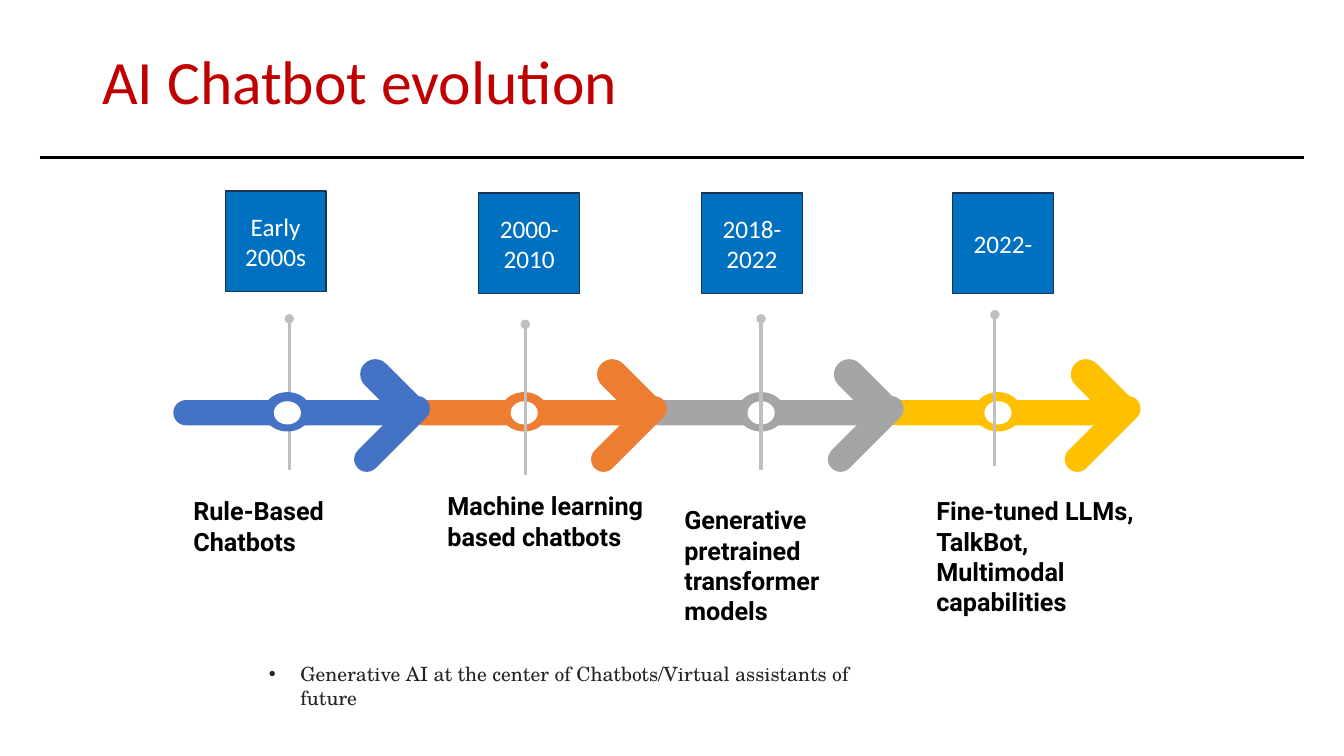
from dataclasses import dataclass

from lxml import etree
from pptx import Presentation
from pptx import util as u
from pptx.dml.color import RGBColor
from pptx.enum import shapes, text
from pptx.oxml import ns

COLORS = {
    "title": "C00000", "black": "000000", "white": "FFFFFF", "note": "242424",
    "box": "0070C0", "box_line": "1E3256", "pin": "BFBFBF",
    "blue": "4472C4", "orange": "ED7D31", "gray": "A5A5A5", "gold": "FFC000",
}
FORMATS = {
    "title": {"name": "Calibri", "size": u.Pt(44)},
    "date": {"name": "Calibri", "size": u.Pt(18)},
    "caption": {"name": "Roboto", "size": u.Pt(18), "bold": True},
    "note": {"name": "TeX Gyre Schola", "size": u.Pt(14)},
}
ARROW_LEFT, ARROW_STEP = 123.8, 169.2
BOX_SIZE, PIN_LENGTH, CAPTION_WIDTH = 72, 107.8, 157


@dataclass
class Stage:
    date: str
    caption: str
    color: str
    box: tuple[float, float]
    pin: tuple[float, float]  # x and lower end
    label: tuple[float, float, float]  # left, top, height


@dataclass
class Part:
    kind: int
    dx: float  # from the left end of the arrow
    top: float
    width: float
    height: float
    rotation: float = 0
    color: str = ""  # empty: the colour of the stage


STAGES = [
    Stage("Early 2000s", "Rule-Based Chatbots", "blue",
          (160.9, 136.4), (206.6, 335.5), (131, 350.6, 51)),
    Stage("2000-2010", "Machine learning based chatbots", "orange",
          (342, 137.8), (375.2, 339.4), (312.5, 347, 73)),
    Stage("2018-2022", "Generative pretrained transformer models", "gray",
          (501.1, 137.8), (543.6, 335.5), (481.7, 357, 94)),
    Stage("2022-", "Fine-tuned LLMs, TalkBot, Multimodal capabilities", "gold",
          (680.4, 137.8), (710.6, 332.6), (661.7, 350.6, 94)),
]
BAR, OVAL = shapes.MSO_SHAPE.ROUNDED_RECTANGLE, shapes.MSO_SHAPE.OVAL
ARROW = [
    Part(BAR, 0, 285.8, 169.2, 18),
    Part(BAR, 128.2, 269.3, 57.6, 21.6, 45),
    Part(BAR, 121.7, 301, 69.1, 18, 315),
]
RING = [
    Part(OVAL, 64.6, 280.1, 33.8, 28.1),
    Part(OVAL, 71.8, 286.6, 19.4, 16.6, color="white"),
]


def rgb(name: str) -> RGBColor:
    return RGBColor.from_string(COLORS[name])


def write(sp, content: str, style: str, color: str, align=text.PP_ALIGN.LEFT):
    tf = sp.text_frame
    tf.word_wrap = True
    p = tf.paragraphs[0]
    p.alignment = align
    r = p.add_run()
    r.text = content
    for key, value in FORMATS[style].items():
        setattr(r.font, key, value)
    r.font.color.rgb = rgb(color)
    return p


def add_text(s, left: float, top: float, width: float, height: float,
             content: str, style: str, color: str):
    sp = s.shapes.add_textbox(*map(u.Pt, (left, top, width, height)))
    return sp, write(sp, content, style, color)


def add_filled(s, kind: int, left: float, top: float, width: float,
               height: float, color: str):
    sp = s.shapes.add_shape(kind, *map(u.Pt, (left, top, width, height)))
    sp.shadow.inherit = False
    sp.fill.solid()
    sp.fill.fore_color.rgb = rgb(color)
    sp.line.fill.background()
    return sp


def add_parts(s, parts: list[Part], index: int, stage: Stage) -> None:
    left = ARROW_LEFT + index * ARROW_STEP
    for part in parts:
        sp = add_filled(s, part.kind, left + part.dx, part.top, part.width,
                        part.height, part.color or stage.color)
        sp.rotation = part.rotation
        if part.kind == BAR:
            sp.adjustments[0] = 0.5


def add_line(s, x1: float, y1: float, x2: float, y2: float,
             color: str, width: float):
    line = s.shapes.add_connector(shapes.MSO_CONNECTOR.STRAIGHT,
                                  *map(u.Pt, (x1, y1, x2, y2)))
    line.line.color.rgb = rgb(color)
    line.line.width = u.Pt(width)
    etree.SubElement(line._element.spPr, ns.qn("a:effectLst"))
    return line


def add_pin(s, stage: Stage) -> None:
    x, bottom = stage.pin
    pin = add_line(s, x, bottom, x, bottom - PIN_LENGTH, "pin", 2.25)
    etree.SubElement(pin.line._get_or_add_ln(), ns.qn("a:tailEnd"), type="oval")


def add_labels(s, stage: Stage) -> None:
    sp = add_filled(s, shapes.MSO_SHAPE.RECTANGLE, *stage.box,
                    BOX_SIZE, BOX_SIZE, "box")
    sp.line.color.rgb = rgb("box_line")
    sp.line.width = u.Pt(1)
    sp.text_frame.vertical_anchor = text.MSO_ANCHOR.MIDDLE
    write(sp, stage.date, "date", "white", text.PP_ALIGN.CENTER)
    left, top, height = stage.label
    add_text(s, left, top, CAPTION_WIDTH, height, stage.caption,
             "caption", "black")


def main() -> None:
    prs = Presentation()
    prs.slide_width, prs.slide_height = u.Pt(960), u.Pt(540)
    s = prs.slides.add_slide(prs.slide_layouts[6])

    # Title and rule
    sp, p = add_text(s, 66, 8, 828, 104.4, "AI Chatbot evolution",
                     "title", "title")
    sp.text_frame.vertical_anchor = text.MSO_ANCHOR.MIDDLE
    p.line_spacing = 0.9
    add_line(s, 28.4, 112.6, 931.6, 112.6, "black", 2.5)

    # Timeline: the first pin lies behind the arrows, the others in front
    add_pin(s, STAGES[0])
    for i, stage in reversed(list(enumerate(STAGES))):
        add_parts(s, ARROW, i, stage)
    for i, stage in enumerate(STAGES):
        add_parts(s, RING, i, stage)
    for stage in STAGES[1:]:
        add_pin(s, stage)

    # Dates and captions
    for stage in STAGES:
        add_labels(s, stage)

    # Closing bullet
    _, p = add_text(
        s, 185, 469.4, 437.8, 42,
        "Generative AI at the center of Chatbots/Virtual assistants of future",
        "note", "note")
    pPr = p._p.get_or_add_pPr()
    pPr.set("marL", str(u.Pt(22.5)))
    pPr.set("indent", str(-u.Pt(22.5)))
    etree.SubElement(pPr, ns.qn("a:buFont"), typeface="Arial")
    etree.SubElement(pPr, ns.qn("a:buChar"), char="•")

    prs.save("out.pptx")


if __name__ == "__main__":
    main()
